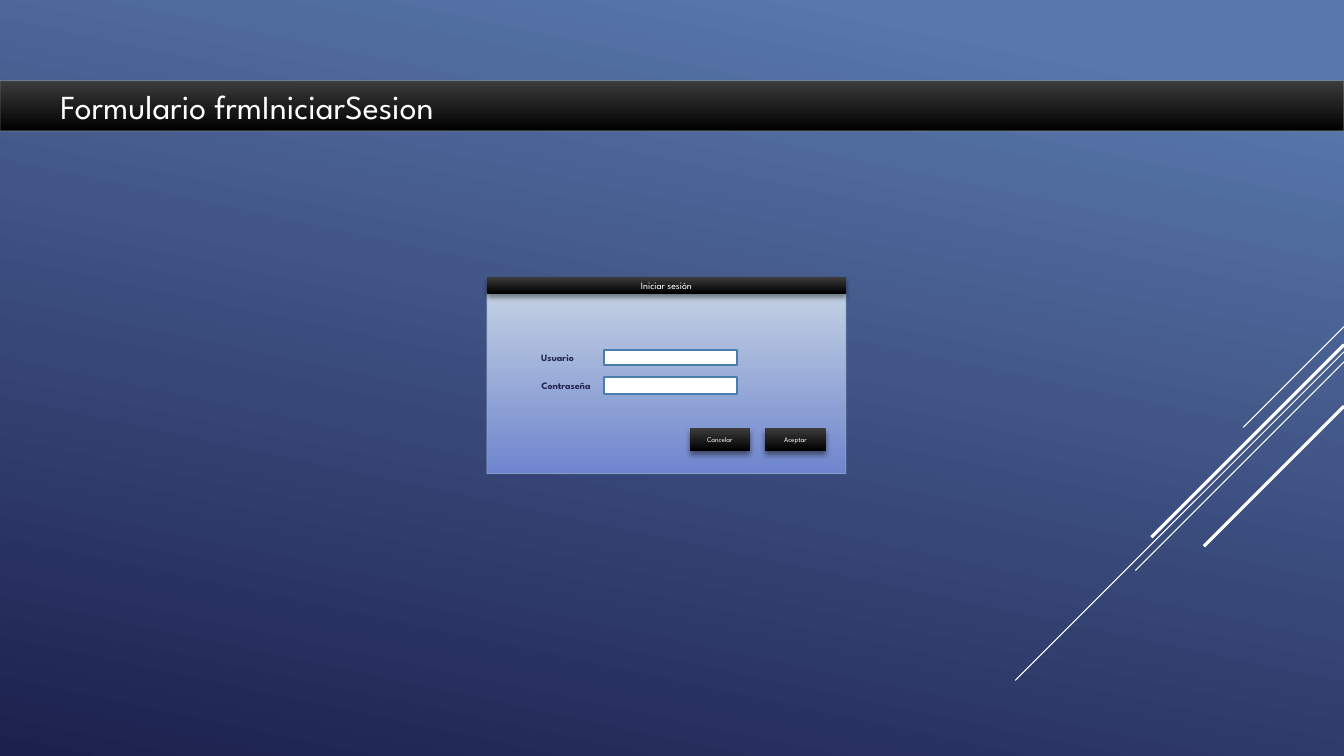
from lxml import etree
from pptx import Presentation
from pptx.dml.color import RGBColor
from pptx.enum import shapes, text
from pptx.oxml import ns
from pptx.util import Inches, Pt

FONT = "League Spartan"
WHITE, NAVY = "FFFFFF", "242852"
BLACK_GRADIENT = ("3C3C3C", "000000")


def color(hex_code):
    return RGBColor.from_string(hex_code)


def add_box(left, top, width, height, fill, line=None, line_width=0.75,
            line_alpha=100, shadow=False, label="", size=7):
    """Add a rectangle; a pair of colours as fill gives a vertical gradient."""
    box = slide.shapes.add_shape(shapes.MSO_SHAPE.RECTANGLE, Inches(left),
                                 Inches(top), Inches(width), Inches(height))
    if isinstance(fill, tuple):
        box.fill.gradient()
        box.fill.gradient_angle = 270
        for stop, shade in zip(box.fill.gradient_stops, fill):
            stop.color.rgb = color(shade)
    else:
        box.fill.solid()
        box.fill.fore_color.rgb = color(fill)

    if line:
        box.line.color.rgb = color(line)
        box.line.width = Pt(line_width)
        if line_alpha < 100:
            line_color = box.line._ln.find(".//" + ns.qn("a:srgbClr"))
            etree.SubElement(line_color, ns.qn("a:alpha"), val=str(line_alpha * 1000))
    else:
        box.line.fill.background()

    box.shadow.inherit = False
    if shadow:
        effects = box._element.spPr.find(ns.qn("a:effectLst"))
        outer = etree.SubElement(effects, ns.qn("a:outerShdw"), blurRad=str(Pt(4)),
                                 dist=str(Pt(3)), dir="5400000", rotWithShape="0")
        shade = etree.SubElement(outer, ns.qn("a:srgbClr"), val="000000")
        etree.SubElement(shade, ns.qn("a:alpha"), val="46000")

    if label:
        box.text_frame.text = label
        box.text_frame.vertical_anchor = text.MSO_ANCHOR.MIDDLE
        paragraph = box.text_frame.paragraphs[0]
        paragraph.alignment = text.PP_ALIGN.CENTER
        paragraph.font.name = FONT
        paragraph.font.size = Pt(size)
        paragraph.font.color.rgb = color(WHITE)
    return box


prs = Presentation()
prs.slide_width, prs.slide_height = Inches(13.33), Inches(7.5)
slide = prs.slides.add_slide(prs.slide_layouts[6])

# Background
backdrop = slide.background.fill
backdrop.gradient()
backdrop.gradient_angle = 258
for stop, position, shade in zip(backdrop.gradient_stops, (0.1, 1), ("5877AB", "1C204D")):
    stop.position = position
    stop.color.rgb = color(shade)

# Diagonal lines running down from the right edge: top, run, weight
for top, run, weight in ((3.24, 1, 0.75), (3.49, 3.26, 0.75), (3.59, 2.07, 0.75),
                         (3.42, 1.91, 2.25), (4.03, 1.39, 2.25)):
    ray = slide.shapes.add_connector(
        shapes.MSO_CONNECTOR.STRAIGHT, Inches(13.33), Inches(top),
        Inches(13.33 - run), Inches(top + run))
    ray.line.color.rgb = color(WHITE)
    ray.line.width = Pt(weight)
    etree.SubElement(ray._element.spPr, ns.qn("a:effectLst"))

# Login window
add_box(4.83, 2.91, 3.56, 1.79, ("C2D0E3", "6F85CE"), line="94A9C4", line_alpha=60)
add_box(4.83, 2.75, 3.56, 0.16, BLACK_GRADIENT, shadow=True, label="Iniciar sesión")

for caption, caption_top, caption_width, field_top, field_height in (
        ("Usuario", 3.44, 0.74, 3.47, 0.15),
        ("Contraseña", 3.72, 0.79, 3.74, 0.17)):
    add_box(5.99, field_top, 1.32, field_height, WHITE, line="4A7CAC", line_width=1.25)
    field_name = slide.shapes.add_textbox(Inches(5.27), Inches(caption_top),
                                          Inches(caption_width), Inches(0.22))
    field_name.text_frame.word_wrap = True
    field_name.text_frame.text = caption
    font = field_name.text_frame.paragraphs[0].font
    font.name, font.size, font.bold = FONT, Pt(7), True
    font.color.rgb = color(NAVY)

for action, left in (("Aceptar", 7.59), ("Cancelar", 6.84)):
    button = add_box(left, 4.25, 0.6, 0.22, BLACK_GRADIENT, shadow=True,
                     label=action, size=5)

# Title band
title = add_box(0, 0.8, 13.33, 0.5, BLACK_GRADIENT, line="898989", line_alpha=60,
                label="Formulario frmIniciarSesion", size=24)
title.text_frame.margin_left = Inches(0.6)
title.text_frame.vertical_anchor = text.MSO_ANCHOR.TOP
title.text_frame.paragraphs[0].alignment = text.PP_ALIGN.LEFT

prs.save("out.pptx")
